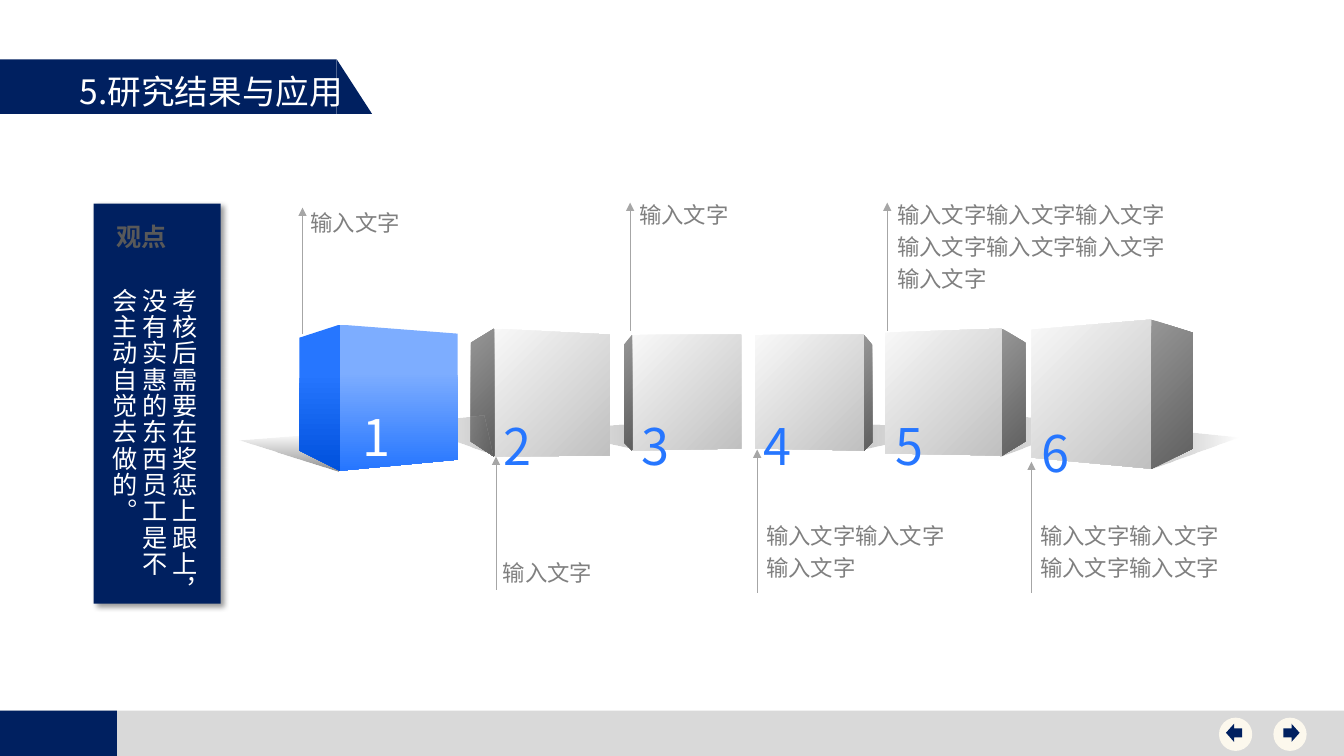
from collections import namedtuple

from lxml import etree
from pptx import Presentation
from pptx.dml.color import RGBColor
from pptx.enum.shapes import MSO_CONNECTOR, MSO_SHAPE
from pptx.enum.text import MSO_ANCHOR, MSO_AUTO_SIZE, PP_ALIGN
from pptx.oxml.ns import qn
from pptx.util import Inches, Pt

FONT = "Noto Sans CJK SC"
COLORS = {
    "navy": "002060", "bar": "D9D9D9", "cream": "FCF8ED", "white": "FFFFFF",
    "label": "808080", "arrow": "A6A6A6", "blue": "2676FF", "heading": "595959",
}
# Gradients: angle, then (position, colour, opacity) stops
GREY_FRONT = (45, [(0, "F8F8F8", 100), (100, "C0C0C0", 100)])
GREY_SIDE = (45, [(0, "969696", 100), (100, "5F5F5F", 100)])
BLUE_FRONT = (90, [(33, "7DADFF", 100), (100, "2676FF", 100)])
BLUE_SIDE = (90, [(33, "2676FF", 100), (100, "0051DC", 100)])
SHADE_LEFT = (0, [(0, "FFFFFF", 50), (100, "666666", 34)])
SHADE_RIGHT = (180, SHADE_LEFT[1])
SHADE_BLUE = (90, [(0, "000000", 0), (100, "000000", 46)])

Box = namedtuple("Box", "left top width height")
# Each pair holds the top and bottom of one vertical edge
Cube = namedtuple("Cube", "side_x edge_x front_x edge side front")

BLUE_CUBE = Cube(0.97, 1.37, 2.54, (2.22, 3.67), (2.35, 3.47), (2.31, 3.56))
GREY_CUBES = [
    Cube(2.67, 2.9, 4.05, (2.26, 3.53), (2.4, 3.38), (2.32, 3.52)),
    Cube(4.19, 4.27, 5.35, (2.32, 3.47), (2.42, 3.39), (2.32, 3.45)),
    Cube(6.65, 6.57, 5.49, (2.32, 3.47), (2.42, 3.39), (2.32, 3.45)),
    Cube(8.17, 7.94, 6.78, (2.26, 3.52), (2.4, 3.38), (2.3, 3.5)),
    Cube(9.83, 9.42, 8.23, (2.17, 3.65), (2.3, 3.45), (2.27, 3.54)),
]
BACK_SHADES = [
    ([(6.55, 3.46), (7.44, 3.26), (6.65, 3.21)], SHADE_RIGHT),
    ([(7.92, 3.53), (8.8, 3.2), (8.02, 3.12)], SHADE_RIGHT),
    ([(9.43, 3.65), (10.28, 3.34), (9.52, 3.26)], SHADE_RIGHT),
    ([(4.31, 3.46), (3.41, 3.26), (4.21, 3.21)], SHADE_LEFT),
]
FRONT_SHADES = [
    ([(2.88, 3.51), (2.03, 3.2), (2.79, 3.12)], SHADE_LEFT),
    ([(1.36, 3.68), (0.38, 3.37), (1.26, 3.3)], SHADE_BLUE),
]
# Digit, left, top, colour
DIGITS = [
    ("2", 2.99, 3.12, "blue"), ("3", 4.36, 3.12, "blue"), ("4", 5.57, 3.12, "blue"),
    ("5", 6.88, 3.12, "blue"), ("6", 8.33, 3.19, "blue"), ("1", 1.6, 3.03, "white"),
]
WORD = "输入文字"
# Label box, words in each line, arrow x, arrow start y, arrow tip y
LABELS = [
    (Box(0.98, 0.97, 1.99, 0.4), [1], 1, 2.31, 1.06),
    (Box(4.24, 0.89, 2.03, 0.4), [1], 4.25, 2.28, 1.01),
    (Box(6.8, 0.89, 3.02, 1.39), [3, 3, 1], 6.8, 2.28, 1.01),
    (Box(2.89, 4.44, 2.03, 0.4), [1], 2.92, 4.85, 3.53),
    (Box(5.5, 4.08, 2.03, 1.07), [2, 1], 5.51, 4.88, 3.46),
    (Box(8.22, 4.08, 2.03, 1.07), [2, 2], 8.23, 4.88, 3.58),
]


def color(name):
    return RGBColor.from_string(COLORS[name])


def inside(outer, left, top, width, height):
    return Box(outer.left + left, outer.top + top, width, height)


def add_preset(page, kind, box, fill):
    shape = page.shapes.add_shape(kind, *map(Inches, box))
    shape.shadow.inherit = False
    shape.fill.solid()
    shape.fill.fore_color.rgb = color(fill)
    shape.line.fill.background()
    return shape


def style(frame, size, fill, align=PP_ALIGN.LEFT, bold=False, spacing=None):
    for para in frame.paragraphs:
        para.alignment = align
        para.line_spacing = spacing
        for span in para.runs:
            span.font.name = FONT
            span.font.size = Pt(size)
            span.font.bold = bold
            span.font.color.rgb = color(fill)


def add_text(page, box, text, wrap=True):
    frame = page.shapes.add_textbox(*map(Inches, box)).text_frame
    frame.word_wrap = wrap
    frame.text = text
    return frame


def add_opaque_color(parent, value, opacity):
    tag = etree.SubElement(parent, qn("a:srgbClr"), val=value)
    etree.SubElement(tag, qn("a:alpha"), val=str(opacity * 1000))


def add_face(page, box, points, gradient):
    """Draw a closed outline, relative to the box, with a gradient fill."""
    corners = [(Inches(box.left + x), Inches(box.top + y)) for x, y in points]
    builder = page.shapes.build_freeform(*corners[0], scale=1.0)
    builder.add_line_segments(corners[1:], close=True)
    face = builder.convert_to_shape()
    face.shadow.inherit = False
    face.line.fill.background()
    angle, stops = gradient
    fill = etree.Element(qn("a:gradFill"), rotWithShape="1")
    stop_list = etree.SubElement(fill, qn("a:gsLst"))
    for position, value, opacity in stops:
        stop = etree.SubElement(stop_list, qn("a:gs"), pos=str(position * 1000))
        add_opaque_color(stop, value, opacity)
    etree.SubElement(fill, qn("a:lin"), ang=str(angle * 60000), scaled="0")
    face.element.spPr.find(qn("a:custGeom")).addnext(fill)


def add_cube(page, box, cube, front_fill, side_fill):
    faces = [(cube.front_x, cube.front, front_fill), (cube.side_x, cube.side, side_fill)]
    for x, (top, bottom), fill in faces:
        points = [(cube.edge_x, cube.edge[0]), (cube.edge_x, cube.edge[1]), (x, bottom), (x, top)]
        add_face(page, box, points, fill)


def add_arrow(page, x, start, tip):
    arrow = page.shapes.add_connector(
        MSO_CONNECTOR.STRAIGHT, Inches(x), Inches(start), Inches(x), Inches(tip))
    arrow.line.color.rgb = color("arrow")
    arrow.line.width = Pt(0.75)
    etree.SubElement(arrow.line._get_or_add_ln(), qn("a:tailEnd"), type="triangle")
    etree.SubElement(arrow._element.spPr, qn("a:effectLst"))


def add_banner(page, box):
    slant = 0.35
    body = box.width - slant
    add_preset(page, MSO_SHAPE.RECTANGLE, inside(box, 0, 0, body, box.height), "navy")
    add_preset(page, MSO_SHAPE.RIGHT_TRIANGLE, inside(box, body, 0, slant, box.height), "navy")
    title = page.shapes.title
    title.left, title.top, title.width, title.height = map(Inches, inside(box, 0.69, 0.06, 2.99, 0.5))
    title.text_frame.text = "5.研究结果与应用"
    title.text_frame.auto_size = MSO_AUTO_SIZE.NONE
    title.text_frame.vertical_anchor = MSO_ANCHOR.TOP
    style(title.text_frame, 24, "white")
    title.element.getparent().append(title.element)


def add_footer(page, box):
    add_preset(page, MSO_SHAPE.RECTANGLE, box, "bar")
    add_preset(page, MSO_SHAPE.RECTANGLE, box._replace(width=1.16), "navy")
    buttons = [(12.63, 0.1, MSO_SHAPE.RIGHT_ARROW), (12.09, 0.07, MSO_SHAPE.LEFT_ARROW)]
    for left, indent, kind in buttons:
        add_preset(page, MSO_SHAPE.OVAL, inside(box, left, 0.07, 0.33, 0.33), "cream")
        add_preset(page, kind, inside(box, left + indent, 0.13, 0.16, 0.18), "navy")


def add_viewpoint(page, box):
    panel = add_preset(page, MSO_SHAPE.RECTANGLE, box, "navy")
    effects = panel.element.spPr.find(qn("a:effectLst"))
    shadow = etree.SubElement(effects, qn("a:outerShdw"), blurRad=str(Pt(4)),
                              dist=str(Pt(3)), dir=str(45 * 60000), algn="tl")
    add_opaque_color(shadow, "000000", 40)
    body = add_text(page, inside(box, 0.13, 0.74, 0.94, 3.12),
                    "考核后需要在奖惩上跟上，没有实惠的东西员工是不会主动自觉去做的。")
    body.vertical_anchor = MSO_ANCHOR.MIDDLE
    body._txBody.bodyPr.set("vert", "eaVert")
    style(body, 18, "white")
    body.paragraphs[0].runs[0].font._element.set("spc", "80")
    heading = add_text(page, inside(box, 0.03, 0.13, 0.89, 0.4), "观点")
    style(heading, 18, "heading", PP_ALIGN.CENTER, bold=True)


def add_cube_row(page, box):
    for points, fill in BACK_SHADES:
        add_face(page, box, points, fill)
    for cube in GREY_CUBES:
        add_cube(page, box, cube, GREY_FRONT, GREY_SIDE)
    for points, fill in FRONT_SHADES:
        add_face(page, box, points, fill)
    add_cube(page, box, BLUE_CUBE, BLUE_FRONT, BLUE_SIDE)
    for label, counts, x, start, tip in LABELS:
        text = "\n".join(WORD * count for count in counts)
        style(add_text(page, inside(box, *label), text), 16, "label", spacing=1.2)
        add_arrow(page, box.left + x, box.top + start, box.top + tip)
    for digit, left, top, fill in DIGITS:
        frame = add_text(page, inside(box, left, top, 0.19, 0.3), digit, wrap=False)
        frame.margin_left = frame.margin_right = frame.margin_top = frame.margin_bottom = 0
        style(frame, 36, fill, PP_ALIGN.CENTER)


def main():
    deck = Presentation()
    deck.slide_width, deck.slide_height = Inches(13.33), Inches(7.5)
    page = deck.slides.add_slide(deck.slide_layouts[5])
    add_footer(page, Box(0, 7.05, 13.33, 0.45))
    add_banner(page, Box(0, 0.59, 3.69, 0.54))
    add_viewpoint(page, Box(0.93, 2.02, 1.26, 3.97))
    add_cube_row(page, Box(2, 1, 11, 5))
    deck.save("out.pptx")


if __name__ == "__main__":
    main()
